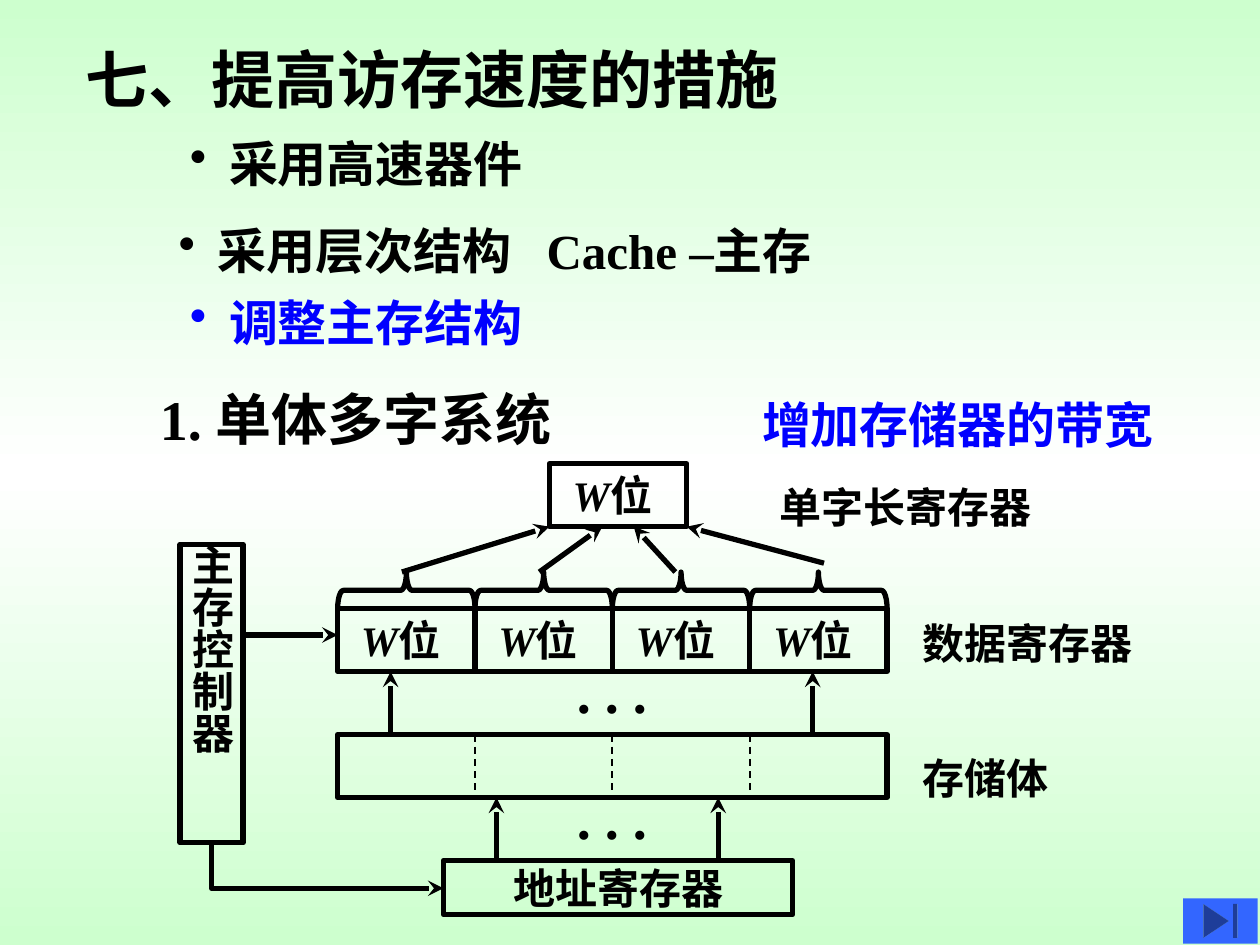
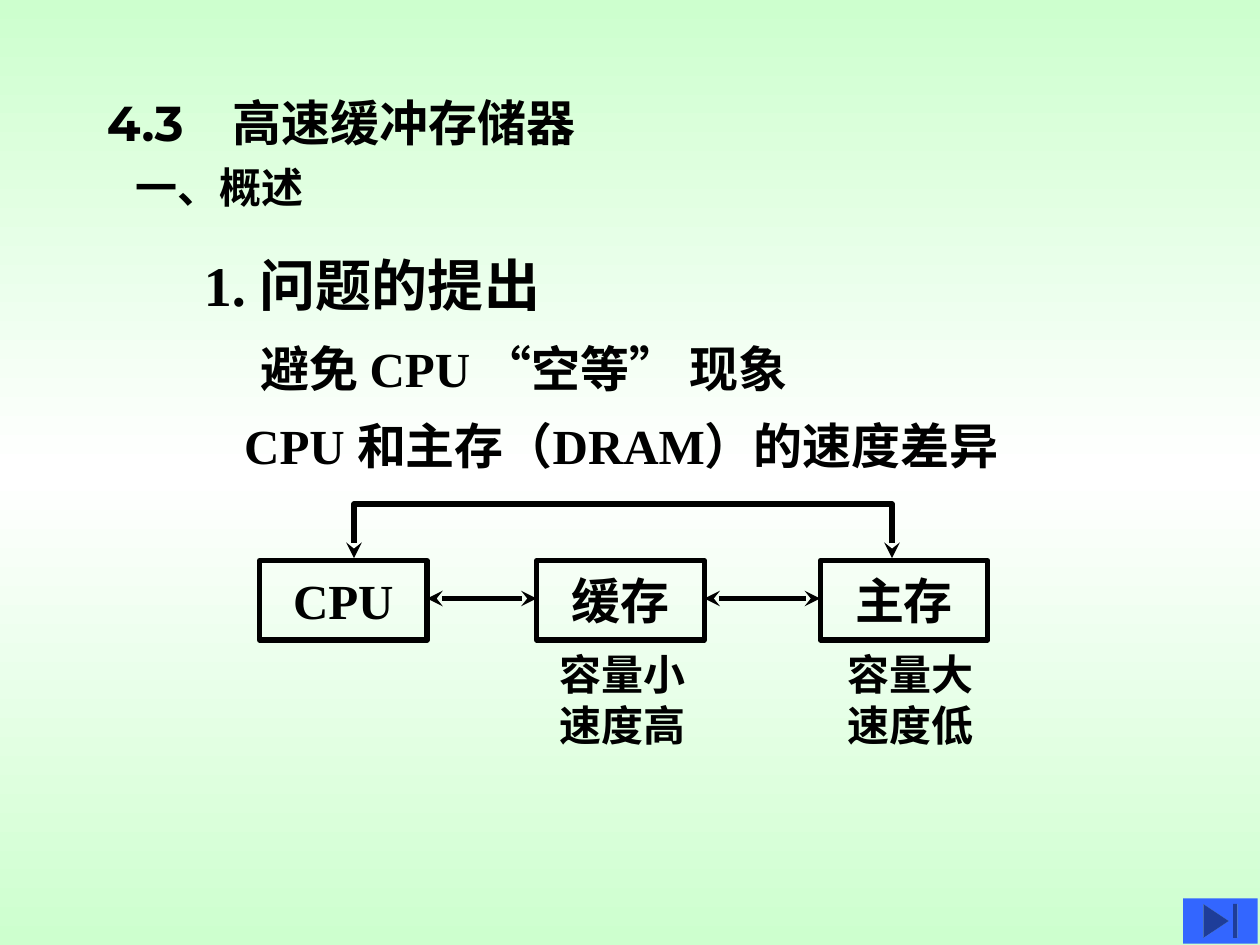
from copy import deepcopy

from lxml import etree
from pptx import Presentation, util as u
from pptx.dml.color import RGBColor
from pptx.enum import dml, lang, shapes, text
from pptx.oxml.ns import qn

BLACK = RGBColor(0x00, 0x00, 0x00)
BLUE = RGBColor(0x00, 0x00, 0xFF)
BUTTON_BLUE = RGBColor(0x33, 0x66, 0xFF)
MINT = RGBColor(0xCD, 0xFF, 0xCE)
WHITE = RGBColor(0xFF, 0xFF, 0xFF)

BODY_FONT = "Times New Roman"
TITLE_FONT = "Montserrat"
COLUMNS, ROWS = 100, 75
CELL = u.Inches(0.1)
BULLET_INDENT = u.Inches(0.31)


def grid(*cells):
    """Turn counts of grid cells into lengths."""
    return [u.Emu(round(count * CELL)) for count in cells]


class Deck:
    """The lecture's style and the slide being drawn; lengths are grid cells."""

    def __init__(self):
        self.presentation = Presentation()
        self.presentation.slide_width, self.presentation.slide_height = grid(COLUMNS, ROWS)
        self.slide = None
        self.paint_background()

    def paint_background(self):
        master = self.presentation.slide_master
        fill = master.background.fill
        fill.gradient()
        fill.gradient_angle = 90
        stop_list = master.element.find(".//" + qn("a:gsLst"))
        stop_list.append(deepcopy(stop_list[0]))
        for stop, color, position in zip(fill.gradient_stops, (MINT, WHITE, MINT), (0, 0.5, 1)):
            stop.color.rgb = color
            stop.position = position

    def new_slide(self):
        self.slide = self.presentation.slides.add_slide(self.presentation.slide_layouts[6])
        self.next_button()

    def next_button(self):
        button = self.slide.shapes.add_shape(
            shapes.MSO_SHAPE.ACTION_BUTTON_END, *grid(93.9, 71.3, 5.9, 3.6))
        button.shadow.inherit = False
        button.fill.solid()
        button.fill.fore_color.rgb = BUTTON_BLUE
        button.line.fill.background()

    def format_text(self, frame, size, color=BLACK, font=BODY_FONT):
        for paragraph in frame.paragraphs:
            for run in paragraph.runs:
                run.font.name = font
                run.font.size = u.Pt(size)
                run.font.bold = True
                run.font.color.rgb = color
                run.font.language_id = lang.MSO_LANGUAGE_ID.SIMPLIFIED_CHINESE

    def label(self, words, left, top, width, height, size=24, color=BLACK, font=BODY_FONT,
              anchor=text.MSO_ANCHOR.TOP):
        frame = self.slide.shapes.add_textbox(*grid(left, top, width, height)).text_frame
        frame.word_wrap = True
        frame.vertical_anchor = anchor
        frame.text = words
        self.format_text(frame, size, color, font)
        return frame

    def bullet(self, words, left, top, width, color=BLACK, tab_stop=None):
        frame = self.label(words, left, top, width, 5.7, 28, color)
        properties = frame.paragraphs[0]._p.get_or_add_pPr()
        properties.set("marL", str(BULLET_INDENT))
        properties.set("indent", str(-BULLET_INDENT))
        etree.SubElement(properties, qn("a:buChar"), char="•")
        if tab_stop:
            stops = etree.SubElement(properties, qn("a:tabLst"))
            etree.SubElement(stops, qn("a:tab"), pos=str(grid(tab_stop)[0]), algn="l")

    def outline(self, shape, width=3):
        shape.line.color.rgb = BLACK
        shape.line.width = u.Pt(width)

    def preset(self, kind, left, top, width, height):
        shape = self.slide.shapes.add_shape(kind, *grid(left, top, width, height))
        shape.shadow.inherit = False
        shape.fill.background()
        self.outline(shape)
        return shape

    def box(self, words, left, top, width, height, size=24, vertical=False):
        frame = self.preset(shapes.MSO_SHAPE.RECTANGLE, left, top, width, height).text_frame
        frame.margin_left = frame.margin_right = frame.margin_top = frame.margin_bottom = 0
        frame.vertical_anchor = text.MSO_ANCHOR.MIDDLE
        frame.text = words
        frame.paragraphs[0].alignment = text.PP_ALIGN.CENTER
        if vertical:
            frame._txBody.bodyPr.set("vert", "eaVert")
        self.format_text(frame, size)
        return frame

    def word_box(self, left, top, width, height):
        """A register that holds one word of W bits."""
        frame = self.box("W", left, top, width, height)
        frame.margin_right = u.Inches(0.09)
        frame.paragraphs[0].add_run().text = "位"
        self.format_text(frame, 24)
        frame.paragraphs[0].runs[0].font.italic = True

    def brace_above(self, left, top, width, height):
        brace = self.preset(shapes.MSO_SHAPE.LEFT_BRACE, left + (width - height) / 2,
                            top + (height - width) / 2, height, width)
        brace.adjustments[0] = 0.155
        brace.rotation = 90

    def arrowheads(self, shape, both):
        line = shape.line._get_or_add_ln()
        for end in ("a:headEnd", "a:tailEnd") if both else ("a:tailEnd",):
            etree.SubElement(line, qn(end), type="stealth")

    def line(self, start, end, width=3):
        connector = self.slide.shapes.add_connector(
            shapes.MSO_CONNECTOR.STRAIGHT, *grid(*start, *end))
        self.outline(connector, width)
        etree.SubElement(connector._element.spPr, qn("a:effectLst"))
        return connector

    def arrow(self, start, end, both=False):
        self.arrowheads(self.line(start, end), both)

    def dashed(self, start, end):
        self.line(start, end, 1).line.dash_style = dml.MSO_LINE.DASH

    def bent_arrow(self, *points, both=False):
        start, *rest = [grid(*point) for point in points]
        builder = self.slide.shapes.build_freeform(*start)
        builder.add_line_segments(rest, close=False)
        route = builder.convert_to_shape()
        route.shadow.inherit = False
        route.fill.background()
        self.outline(route)
        self.arrowheads(route, both)


def draw_wide_memory(deck):
    deck.new_slide()
    deck.label("七、提高访存速度的措施", 5.8, 2.7, 59.2, 7, 36)
    deck.bullet("采用高速器件", 14.1, 10.1, 33.4)
    deck.bullet("采用层次结构\tCache –主存", 13.2, 17, 54.8, tab_stop=29.2)
    deck.bullet("调整主存结构", 14.1, 22.7, 31.7, BLUE)
    deck.label("1. 单体多字系统", 11.7, 30, 35, 11.7, 32)
    deck.label("增加存储器的带宽", 59.5, 30.8, 37.6, 6.1, 28, BLUE)

    bank_left, word_width, box_height, words = 26.8, 10.9, 5, 4
    data_top, bank_top, address_top, single_top = 48.3, 58.3, 68.3, 36.8
    data_bottom, bank_bottom, single_bottom = (
        top + box_height for top in (data_top, bank_top, single_top))
    control_left, control_width, control_bottom = 14.3, 5, 66.9
    address_left, address_height = 35.2, 4.3

    deck.word_box(43.6, single_top, word_width, box_height)
    for index in range(words):
        left = bank_left + index * word_width
        deck.word_box(left, data_top, word_width, box_height)
        deck.brace_above(left, 45.4, word_width, 2.9)
    deck.box("", bank_left, bank_top, words * word_width, box_height)
    for index in range(1, words):
        divider = bank_left + index * word_width
        deck.dashed((divider, bank_top), (divider, bank_bottom))
    deck.box("地址寄存器", address_left, address_top, 27.7, address_height)
    deck.box("主存控制器", control_left, 43.2, control_width, control_bottom - 43.2,
             vertical=True)

    for start, end_x in (((31.9, 45.4), 43.6), ((42.8, 45.4), 47.8),
                         ((53.6, 45.4), 50.3), ((65.4, 44.7), 54.5)):
        deck.arrow(start, (end_x, single_bottom))
    for x in (31, 64.5):
        deck.arrow((x, bank_top), (x, data_bottom))
    for x in (39.4, 57):
        deck.arrow((x, address_top), (x, bank_bottom))
    for top in (51.7, 61.7):
        deck.label(". . .", 44.8, top, 8.6, 6.4, 32)

    deck.arrow((control_left + control_width, 50.4), (bank_left, 50.4))
    deck.bent_arrow((16.8, control_bottom), (16.8, 70.5), (address_left, 70.5))

    deck.label("单字长寄存器", 60.9, 37.7, 22.7, 5)
    deck.label("数据寄存器", 72.2, 48.5, 19.4, 5)
    deck.label("存储体", 72.2, 59.2, 12.7, 5)


def draw_cache_overview(deck):
    deck.new_slide()
    deck.label("4.3\t高速缓冲存储器", 7.5, 0, 85, 12.5, 28, font=TITLE_FONT,
               anchor=text.MSO_ANCHOR.BOTTOM)
    deck.label("一、概述", 9.8, 12.3, 34.5, 5)
    deck.label("1. 问题的提出", 15.2, 19.4, 31, 6.4, 32)
    deck.label("避免 CPU “空等” 现象", 19.7, 26.4, 52, 5.7, 28)
    deck.label("CPU 和主存（DRAM）的速度差异", 18.4, 32.5, 66, 5.7, 28)

    box_top, box_width, link_y = 44.5, 13.3, 47.5
    levels = {"CPU": 20.6, "缓存": 42.6, "主存": 65.1}
    for name, left in levels.items():
        deck.box(name, left, box_top, box_width, 6.3, 28)
    lefts = list(levels.values())
    for left, next_left in zip(lefts, lefts[1:]):
        deck.arrow((left + box_width, link_y), (next_left, link_y), both=True)
    deck.bent_arrow((70.8, 44.3), (70.8, 40), (28.1, 40), (28.1, 44.3), both=True)

    for traits, left in (("容量小\n速度高", 43.4), ("容量大\n速度低", 66.3)):
        deck.label(traits, left, 51, 13, 9)


def main():
    deck = Deck()
    draw_wide_memory(deck)
    draw_cache_overview(deck)
    deck.presentation.save("out.pptx")


if __name__ == "__main__":
    main()
